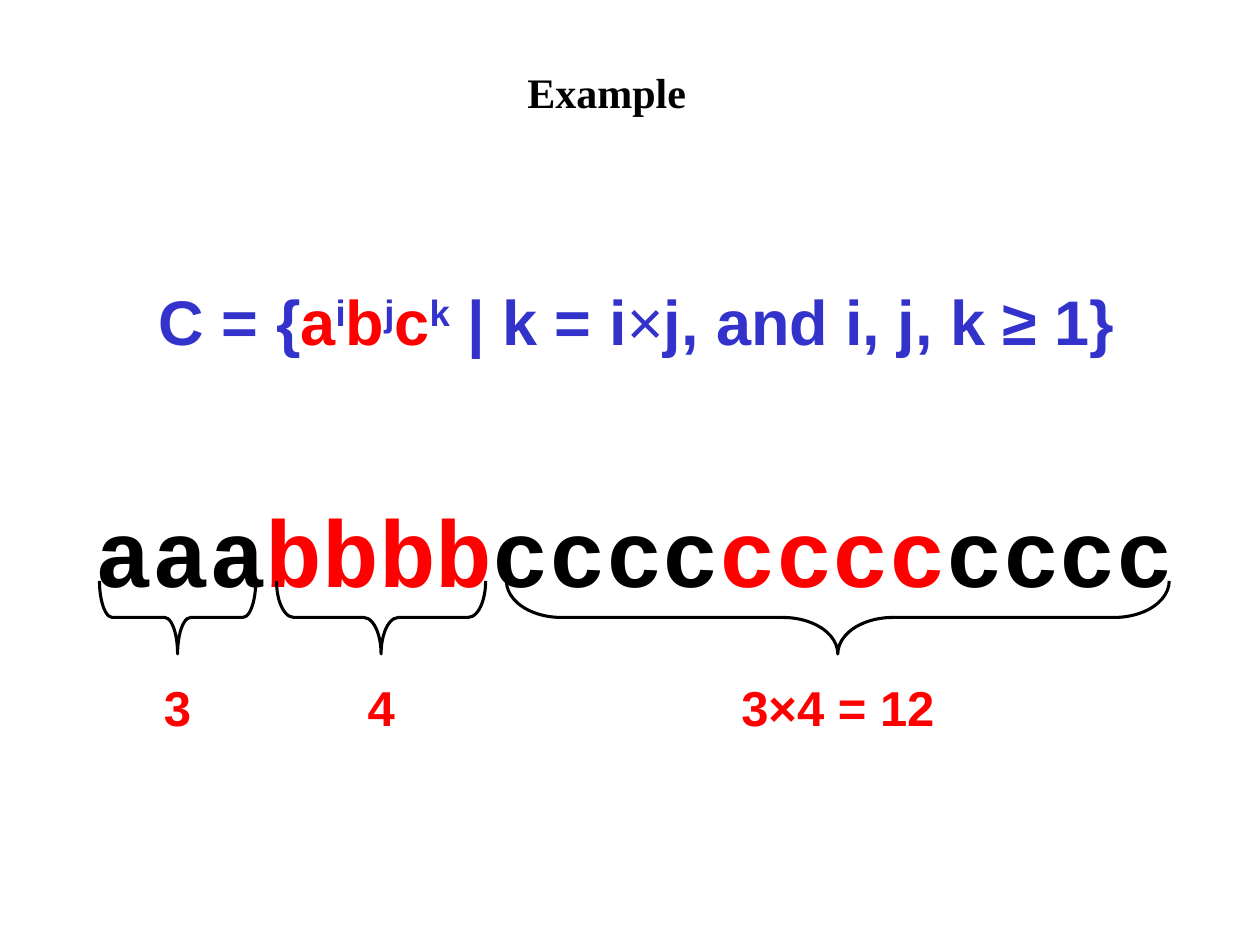
import dataclasses
import pptx
import pptx.dml.color
import pptx.enum.shapes
import pptx.enum.text
import pptx.util

COLS, ROWS = 100, 75
BLACK, RED, BLUE = "000000", "FF0000", "3333CC"
ALIGN = pptx.enum.text.PP_ALIGN
FIT = pptx.enum.text.MSO_AUTO_SIZE
ANCHOR = pptx.enum.text.MSO_ANCHOR

deck = pptx.Presentation()
deck.slide_width = pptx.util.Inches(10)
deck.slide_height = pptx.util.Inches(7.5)
slide = deck.slides.add_slide(deck.slide_layouts[1])


@dataclasses.dataclass
class Part:
    text: str
    color: str
    bold: bool = True
    raised: bool = False


@dataclasses.dataclass
class Group:
    mid: float
    width: float
    label: str
    room: float


def paint(color: str) -> pptx.dml.color.RGBColor:
    return pptx.dml.color.RGBColor.from_string(color)


def grid(left: float, top: float, width: float, height: float) -> list[int]:
    cell_w, cell_h = deck.slide_width / COLS, deck.slide_height / ROWS
    return [int(n) for n in (left * cell_w, top * cell_h, width * cell_w, height * cell_h)]


def move(shape, *area: float) -> None:
    shape.left, shape.top, shape.width, shape.height = grid(*area)


def write(shape, parts: list[Part], font: str, size: float, align, wrap: bool, fit=FIT.NONE) -> None:
    frame = shape.text_frame
    frame.word_wrap = wrap
    frame.auto_size = fit
    para = frame.paragraphs[0]
    para.alignment = align
    para.font.name = font
    para.font.size = pptx.util.Pt(size)
    for part in parts:
        run = para.add_run()
        run.text = part.text
        run.font.bold = part.bold
        run.font.color.rgb = paint(part.color)
        if part.raised:
            run.font._element.set("baseline", "30000")


def brace(group: Group, mid: float, depth: float) -> None:
    area = grid(group.mid - depth / 2, mid - group.width / 2, depth, group.width)
    shape = slide.shapes.add_shape(pptx.enum.shapes.MSO_SHAPE.LEFT_BRACE, *area)
    shape.rotation = 270
    shape.adjustments[0] = group.width / 70
    shape.shadow.inherit = False
    shape.fill.background()
    shape.line.color.rgb = paint(BLACK)
    shape.line.width = pptx.util.Pt(1.75)


def label(group: Group, top: float, height: float) -> None:
    box = slide.shapes.add_textbox(*grid(group.mid - group.room / 2, top, group.room, height))
    write(box, [Part(group.label, RED)], "Arial", 28, ALIGN.CENTER, True)


title, body = slide.placeholders
move(title, 40.85, 4.8, 14.7, 5)
write(title, [Part("Example", BLACK)], "Times New Roman", 24, ALIGN.LEFT, False, FIT.SHAPE_TO_FIT_TEXT)

rule = slide.shapes.add_textbox(*grid(11.4, 21.9, 78.3, 7))
write(rule, [
    Part("C = {", BLUE),
    Part("a", RED), Part("i", BLUE, raised=True),
    Part("b", RED), Part("j", BLUE, raised=True),
    Part("c", RED), Part("k", BLUE, raised=True),
    Part(" | k = i", BLUE), Part("×", BLUE, bold=False),
    Part("j, and i, j, k ≥ 1}", BLUE),
], "Arial", 36, ALIGN.CENTER, False, FIT.SHAPE_TO_FIT_TEXT)

move(body, 6.6, 29.2, 91.6, 18.1)
body.text_frame.vertical_anchor = ANCHOR.TOP
body.text_frame.margin_top = pptx.util.Inches(0.99)
body.text_frame.margin_bottom = 0
word = [Part("aaa", BLACK), Part("bbbb", RED)]
word += [Part("cccc", color) for color in (BLACK, RED, BLACK)]
write(body, word, "Courier New", 54, ALIGN.LEFT, True)
para = body.text_frame.paragraphs[0]
para.space_before = pptx.util.Pt(0)
props = para._p.get_or_add_pPr()
props.set("marL", "0")
props.set("indent", "0")
none = pptx.oxml.parse_xml(
    '<a:buNone xmlns:a="http://schemas.openxmlformats.org/drawingml/2006/main"/>')
props.find(pptx.oxml.ns.qn("a:spcBef")).addnext(none)

groups = [
    Group(14.1, 12.4, "3", 6),
    Group(30.25, 16.6, "4", 6),
    Group(66.5, 52.6, "3×4 = 12", 26.6),
]
for group in groups:
    brace(group, 49, 5.8)
    label(group, 53.3, 6.4)

deck.save("out.pptx")
